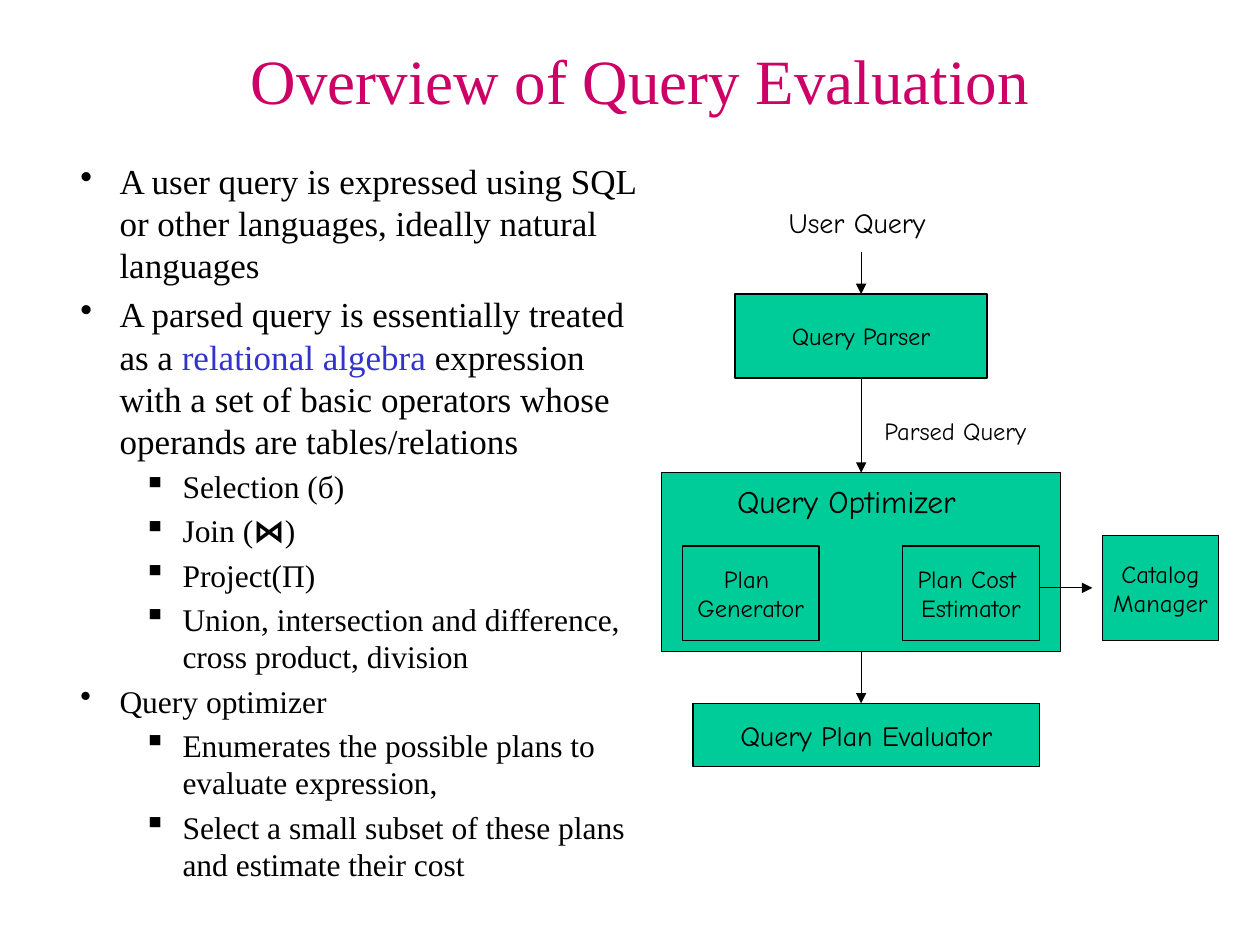
from dataclasses import dataclass

from lxml.etree import SubElement
from pptx import Presentation
from pptx.dml.color import RGBColor
from pptx.enum.shapes import MSO_CONNECTOR, MSO_SHAPE
from pptx.enum.text import MSO_ANCHOR, MSO_AUTO_SIZE, PP_ALIGN
from pptx.oxml.ns import qn
from pptx.slide import Slide
from pptx.util import Cm, Pt

COLORS = {"title": "CC0066", "text": "000000", "term": "3333CC", "box": "00CC99"}
BULLETS = {0: ("•", 0.79), 1: ("▪", 2.06)}


@dataclass
class QuerySlide:
    """Draws the elements of one slide in a shared style."""

    slide: Slide
    body_font: str = "Times New Roman"
    diagram_font: str = "Comic Neue"
    line_width: float = 0.75
    hanging: float = 0.79

    def color(self, name):
        return RGBColor.from_string(COLORS[name])

    def run(self, paragraph, text, size, font, color="text", bold=False):
        run = paragraph.add_run()
        run.text = text
        run.font.size = Pt(size)
        run.font.name = font
        run.font.bold = bold
        run.font.color.rgb = self.color(color)

    def frame(self, left, top, width, height):
        box = self.slide.shapes.add_textbox(Cm(left), Cm(top), Cm(width), Cm(height))
        box.text_frame.word_wrap = True
        return box.text_frame

    def title(self, text, *place):
        frame = self.frame(*place)
        frame.vertical_anchor = MSO_ANCHOR.MIDDLE
        heading = frame.paragraphs[0]
        heading.alignment = PP_ALIGN.CENTER
        self.run(heading, text, 36, self.body_font, "title")

    def outline(self, points, *place):
        frame = self.frame(*place)
        for index, (level, size, pieces) in enumerate(points):
            point = frame.add_paragraph() if index else frame.paragraphs[0]
            point.level = level
            symbol, margin = BULLETS[level]
            properties = point._p.get_or_add_pPr()
            properties.set("marL", str(Cm(margin)))
            properties.set("indent", str(-Cm(self.hanging)))
            SubElement(properties, qn("a:buChar")).set("char", symbol)
            point.space_before = Pt(size * 0.2 if index else 0)
            for text, style in pieces:
                self.run(point, text, size, **{"font": self.body_font, **style})

    def box(self, lines, size, *place):
        left, top, width, height = map(Cm, place)
        box = self.slide.shapes.add_shape(MSO_SHAPE.RECTANGLE, left, top, width, height)
        box.shadow.inherit = False
        box.fill.solid()
        box.fill.fore_color.rgb = self.color("box")
        box.line.color.rgb = self.color("text")
        box.line.width = Pt(self.line_width)
        frame = box.text_frame
        frame.word_wrap = False
        frame.vertical_anchor = MSO_ANCHOR.MIDDLE
        for index, text in enumerate(lines):
            line = frame.add_paragraph() if index else frame.paragraphs[0]
            line.alignment = PP_ALIGN.CENTER
            self.run(line, text, size, self.diagram_font)

    def label(self, text, size, *place):
        frame = self.frame(*place)
        frame.word_wrap = False
        frame.auto_size = MSO_AUTO_SIZE.SHAPE_TO_FIT_TEXT
        self.run(frame.paragraphs[0], text, size, self.diagram_font)

    def arrow(self, *ends):
        arrow = self.slide.shapes.add_connector(MSO_CONNECTOR.STRAIGHT, *map(Cm, ends))
        arrow.line.color.rgb = self.color("text")
        arrow.line.width = Pt(self.line_width)
        SubElement(arrow.line._get_or_add_ln(), qn("a:tailEnd")).set("type", "triangle")
        SubElement(arrow._element.spPr, qn("a:effectLst"))


def main():
    presentation = Presentation()
    presentation.slide_width, presentation.slide_height = Cm(25.4), Cm(19.05)
    page = QuerySlide(presentation.slides.add_slide(presentation.slide_layouts[6]))

    page.title("Overview of Query Evaluation", 1.47, 0.64, 22.86, 1.9)
    page.outline(
        [
            (0, 20, [("A user query is expressed using SQL or other languages, "
                      "ideally natural languages", {})]),
            (0, 20, [("A parsed query is essentially treated as a ", {}),
                     ("relational algebra", {"color": "term"}),
                     (" expression with a set of basic operators whose operands "
                      "are tables/relations", {})]),
            (1, 18, [("Selection (б)", {})]),
            (1, 18, [("Join (", {}),
                     ("⋈", {"font": page.diagram_font, "bold": True}),
                     (")", {})]),
            (1, 18, [("Project(Π)", {})]),
            (1, 18, [("Union, intersection and difference, cross product, division", {})]),
            (0, 18, [("Query optimizer", {})]),
            (1, 18, [("Enumerates the possible plans to evaluate expression,", {})]),
            (1, 18, [("Select a small subset of these plans and estimate their cost", {})]),
        ],
        1.37, 3.1, 11.86, 15.04,
    )

    page.box(["Query Parser"], 14, 14.82, 5.93, 5.08, 1.69)
    page.box([], 18, 13.34, 9.53, 8.04, 3.6)
    page.box(["Plan ", "Generator"], 14, 13.76, 11.01, 2.75, 1.9)
    page.box(["Plan Cost ", "Estimator"], 14, 18.2, 11.01, 2.75, 1.9)
    page.box(["Query Plan Evaluator"], 16, 13.97, 14.18, 6.99, 1.27)
    page.box(["Catalog", "Manager"], 14, 22.23, 10.8, 2.33, 2.12)

    page.label("User Query", 16, 15.65, 4.01, 3.61, 0.94)
    page.label("Query Optimizer", 18, 14.61, 9.6, 5.56, 1.02)
    page.label("Parsed Query", 14, 17.58, 8.26, 3.66, 0.84)

    flow = 17.36
    for start, end in [(5.08, 5.93), (7.62, 9.53), (13.13, 14.18)]:
        page.arrow(flow, start, flow, end)
    page.arrow(20.95, 11.85, 22.02, 11.85)

    presentation.save("out.pptx")


if __name__ == "__main__":
    main()
